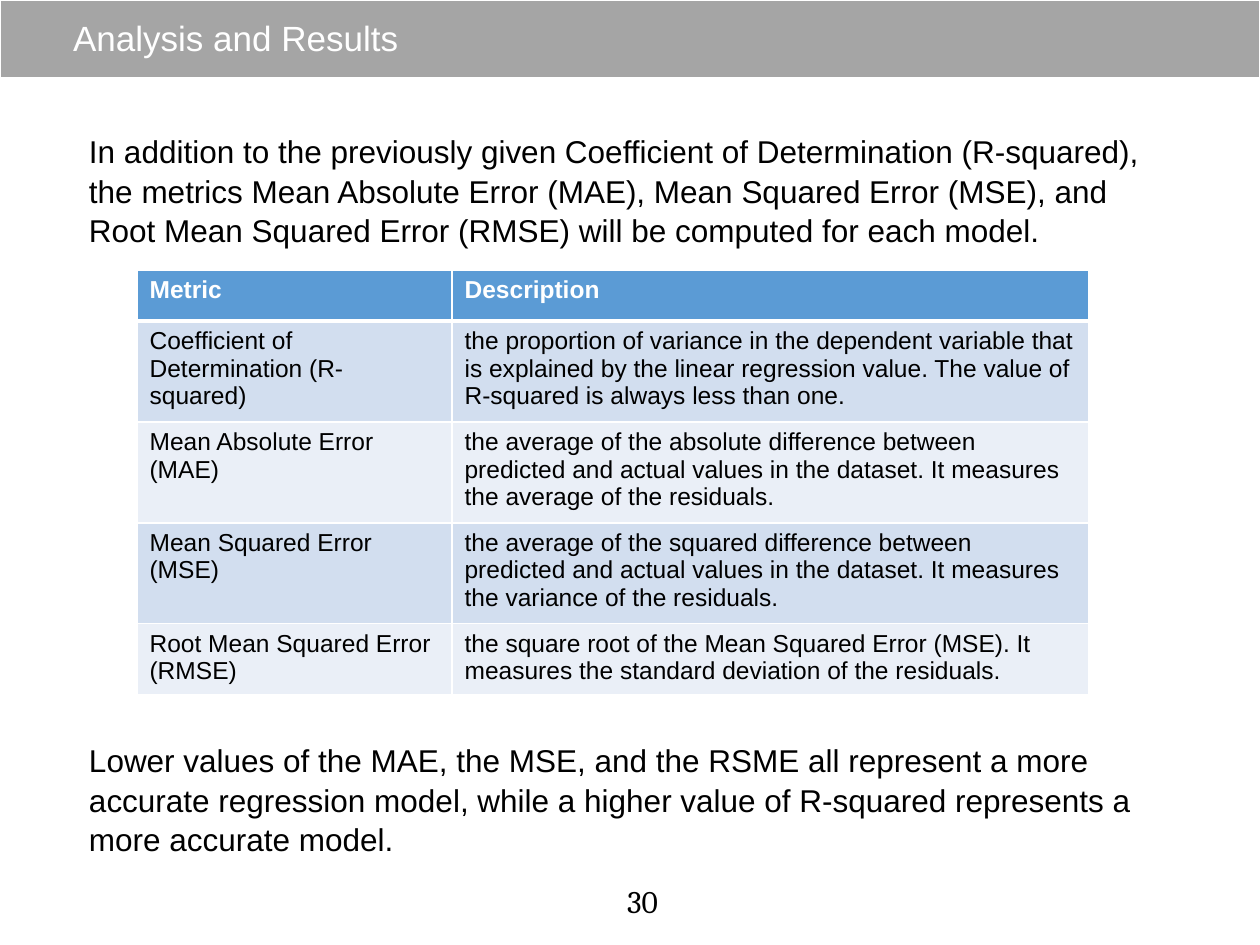
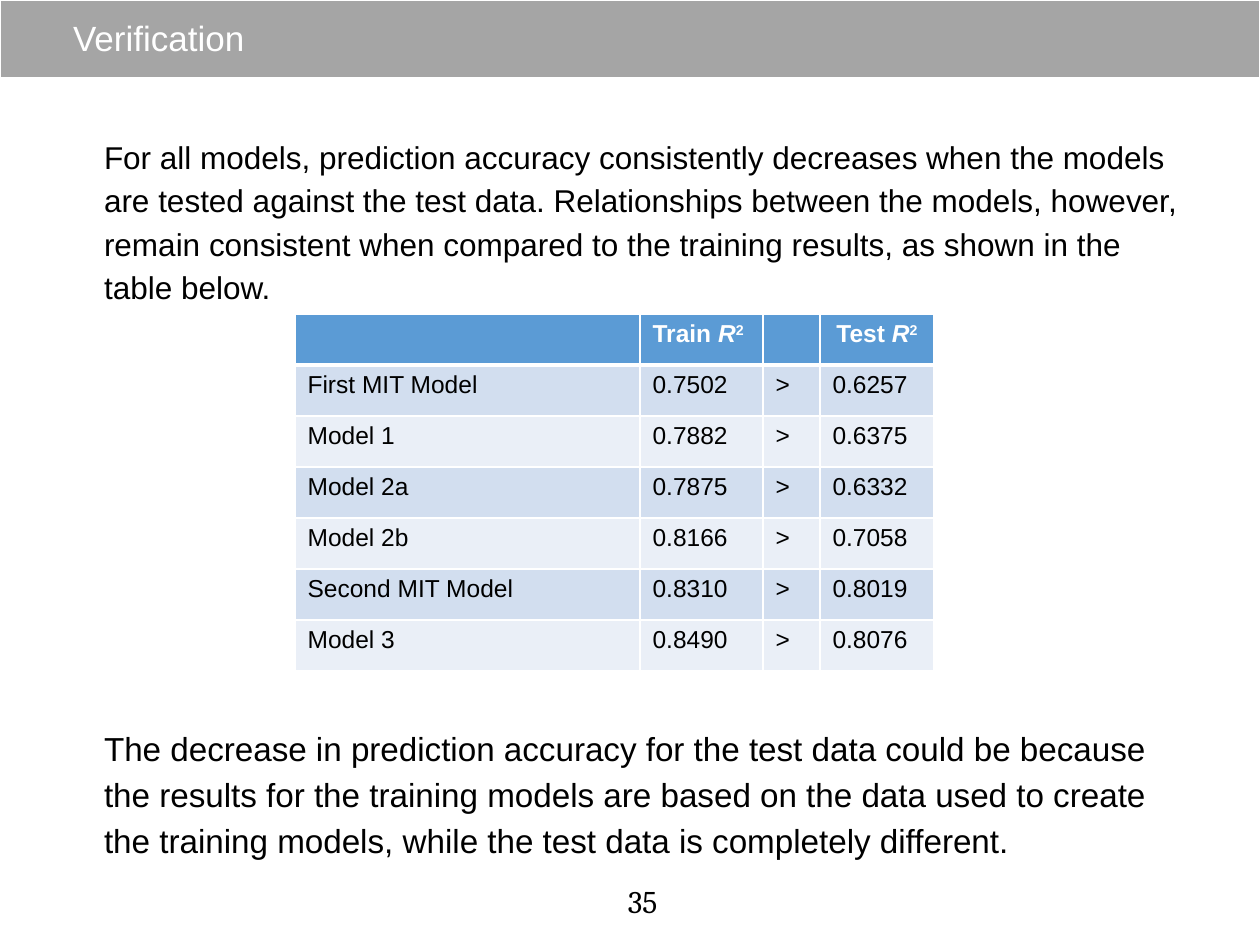
"""Build two slides on model metrics and verification results."""
from dataclasses import dataclass

from lxml.etree import SubElement
from pptx import Presentation
from pptx.dml.color import RGBColor
from pptx.enum.shapes import MSO_SHAPE as Shape
from pptx.enum.text import MSO_ANCHOR as Anchor, PP_ALIGN as Align
from pptx.oxml.ns import qn
from pptx.util import Emu, Pt

PX = 914400 / 126


def px(length):
    return Emu(round(length * PX))


@dataclass(frozen=True)
class Theme:
    band: str = "A5A5A5"
    paper: str = "FFFFFF"
    ink: str = "000000"
    header: str = "5B9BD5"
    stripes: tuple = ("D2DEEF", "EAEFF7")
    face: str = "Arial"
    number_face: str = "Cambria"
    title_size: int = 20
    body_size: int = 18
    closing_size: int = 19
    table_size: int = 14
    inset: int = 6
    row_height: int = 51


class Deck:
    """Hold the theme, the presentation and the current page."""

    def __init__(self, theme):
        self.theme = theme
        self.show = Presentation()
        self.show.slide_width, self.show.slide_height = px(1260), px(945)

    def page(self, title, number):
        theme = self.theme
        self.current = self.show.slides.add_slide(self.show.slide_layouts[6])
        self.band()
        frame = self.text_frame(67, 3, 966, 74)
        frame.vertical_anchor = Anchor.MIDDLE
        self.set_text(frame.paragraphs[0], title, theme.title_size, theme.paper, spacing=0.9)
        frame = self.text_frame(614, 876, 57, 50)
        self.set_text(frame.paragraphs[0], number, theme.body_size, theme.ink,
                      face=theme.number_face, align=Align.CENTER)

    def band(self):
        band = self.current.shapes.add_shape(Shape.RECTANGLE, 0, 0, px(1260), px(78))
        band.shadow.inherit = False
        band.fill.solid()
        band.fill.fore_color.rgb = RGBColor.from_string(self.theme.band)
        band.line.color.rgb = RGBColor.from_string(self.theme.paper)
        band.line.width = Pt(1.5)

    def text_frame(self, left, top, width, height):
        box = self.current.shapes.add_textbox(px(left), px(top), px(width), px(height))
        frame = box.text_frame
        frame.word_wrap = True
        frame.margin_left = frame.margin_right = px(self.theme.inset)
        frame.margin_top = frame.margin_bottom = px(self.theme.inset)
        return frame

    def set_text(self, para, text, size, color, face=None, bold=False,
                 align=Align.LEFT, spacing=1.0):
        para.alignment = align
        para.line_spacing = spacing
        font = para.font
        font.name, font.size, font.bold = face or self.theme.face, Pt(size), bold
        font.color.rgb = RGBColor.from_string(color)
        parts = [text] if isinstance(text, str) else text
        for part in parts:
            content, style = (part, "") if isinstance(part, str) else part
            if not content:
                continue
            span = para.add_run()
            span.text = content
            if style == "italic":
                span.font.italic = True
            elif style == "superscript":
                span.font._element.set("baseline", "30000")

    def body(self, left, top, height, opening, closing, gap, spacing, closing_size):
        frame = self.text_frame(left, top, 1092, height)
        ink = self.theme.ink
        self.set_text(frame.paragraphs[0], opening, self.theme.body_size, ink, spacing=spacing)
        para = frame.add_paragraph()
        self.set_text(para, closing, closing_size, ink, spacing=spacing)
        para.space_before = Pt(gap)

    def table(self, left, top, widths, rows, centred_headers=()):
        theme = self.theme
        table = self.current.shapes.add_table(
            len(rows), len(widths), px(left), px(top),
            px(sum(widths)), px(theme.row_height * len(rows))).table
        for column, width in zip(table.columns, widths):
            column.width = px(width)
        for row_index, texts in enumerate(rows):
            table.rows[row_index].height = px(theme.row_height)
            is_header = row_index == 0
            fill = theme.header if is_header else theme.stripes[(row_index - 1) % 2]
            for column_index, text in enumerate(texts):
                cell = table.cell(row_index, column_index)
                self.borders(cell, top=3 if row_index == 1 else 1,
                             bottom=3 if is_header else 1)
                cell.fill.solid()
                cell.fill.fore_color.rgb = RGBColor.from_string(fill)
                centred = is_header and column_index in centred_headers
                self.set_text(cell.text_frame.paragraphs[0], text, theme.table_size,
                              theme.paper if is_header else theme.ink, bold=is_header,
                              align=Align.CENTER if centred else Align.LEFT)

    def borders(self, cell, top, bottom):
        properties = cell._tc.get_or_add_tcPr()
        for side, width in (("L", 1), ("R", 1), ("T", top), ("B", bottom)):
            line = SubElement(properties, qn(f"a:ln{side}"), w=str(Pt(width)))
            fill = SubElement(line, qn("a:solidFill"))
            SubElement(fill, qn("a:srgbClr"), val=self.theme.paper)


def metrics_page(deck):
    deck.page("Analysis and Results", "30")
    deck.body(
        83, 124, 752,
        "In addition to the previously given Coefficient of Determination (R-squared), "
        "the metrics Mean Absolute Error (MAE), Mean Squared Error (MSE), and "
        "Root Mean Squared Error (RMSE) will be computed for each model.",
        "Lower values of the MAE, the MSE, and the RSME all represent a more accurate "
        "regression model, while a higher value of R-squared represents a more accurate model.",
        gap=280, spacing=1.05, closing_size=deck.theme.body_size)
    deck.table(137, 270, (315, 637), (
        ("Metric", "Description"),
        ("Coefficient of Determination (R-squared)",
         "the proportion of variance in the dependent variable that is explained by the "
         "linear regression value. The value of R-squared is always less than one."),
        ("Mean Absolute Error (MAE)",
         "the average of the absolute difference between predicted and actual values in "
         "the dataset. It measures the average of the residuals."),
        ("Mean Squared Error (MSE)",
         "the average of the squared difference between predicted and actual values in "
         "the dataset. It measures the variance of the residuals."),
        ("Root Mean Squared Error (RMSE)",
         "the square root of the Mean Squared Error (MSE). It measures the standard "
         "deviation of the residuals."),
    ))


def verification_page(deck):
    deck.page("Verification", "35")
    deck.body(
        98, 126, 735,
        "For all models, prediction accuracy consistently decreases when the models are "
        "tested against the test data. Relationships between the models, however, remain "
        "consistent when compared to the training results, as shown in the table below.",
        "The decrease in prediction accuracy for the test data could be because the results "
        "for the training models are based on the data used to create the training models, "
        "while the test data is completely different.",
        gap=238, spacing=1.15, closing_size=deck.theme.closing_size)
    r_squared = (("R", "italic"), ("2", "superscript"))
    scores = (
        ("First MIT Model", "0.7502", "0.6257"),
        ("Model 1", "0.7882", "0.6375"),
        ("Model 2a", "0.7875", "0.6332"),
        ("Model 2b", "0.8166", "0.7058"),
        ("Second MIT Model", "0.8310", "0.8019"),
        ("Model 3", "0.8490", "0.8076"),
    )
    header = ("", ("Train ", *r_squared), "", ("Test ", *r_squared))
    rows = [header] + [(model, train, ">", test) for model, train, test in scores]
    deck.table(295, 314, (345, 123, 57, 114), rows, centred_headers=(3,))


def main():
    deck = Deck(Theme())
    metrics_page(deck)
    verification_page(deck)
    deck.show.save("out.pptx")


if __name__ == "__main__":
    main()
